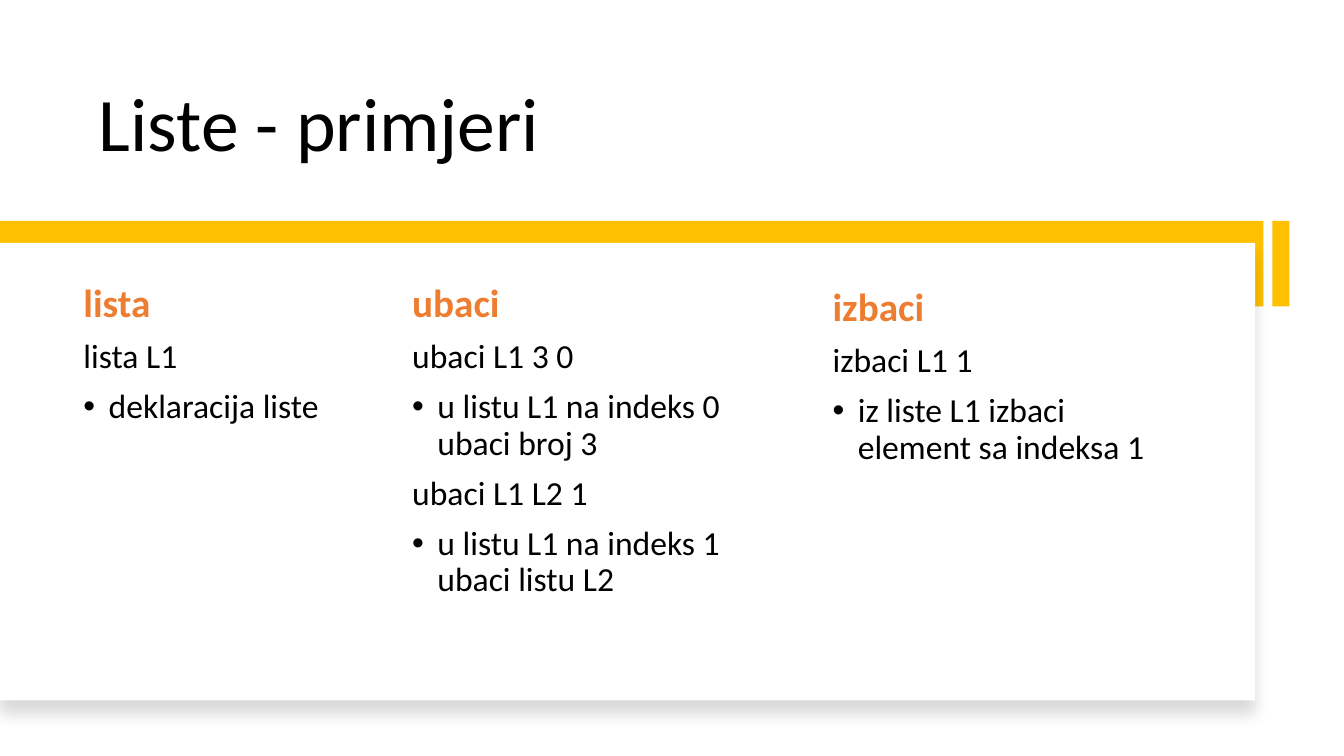
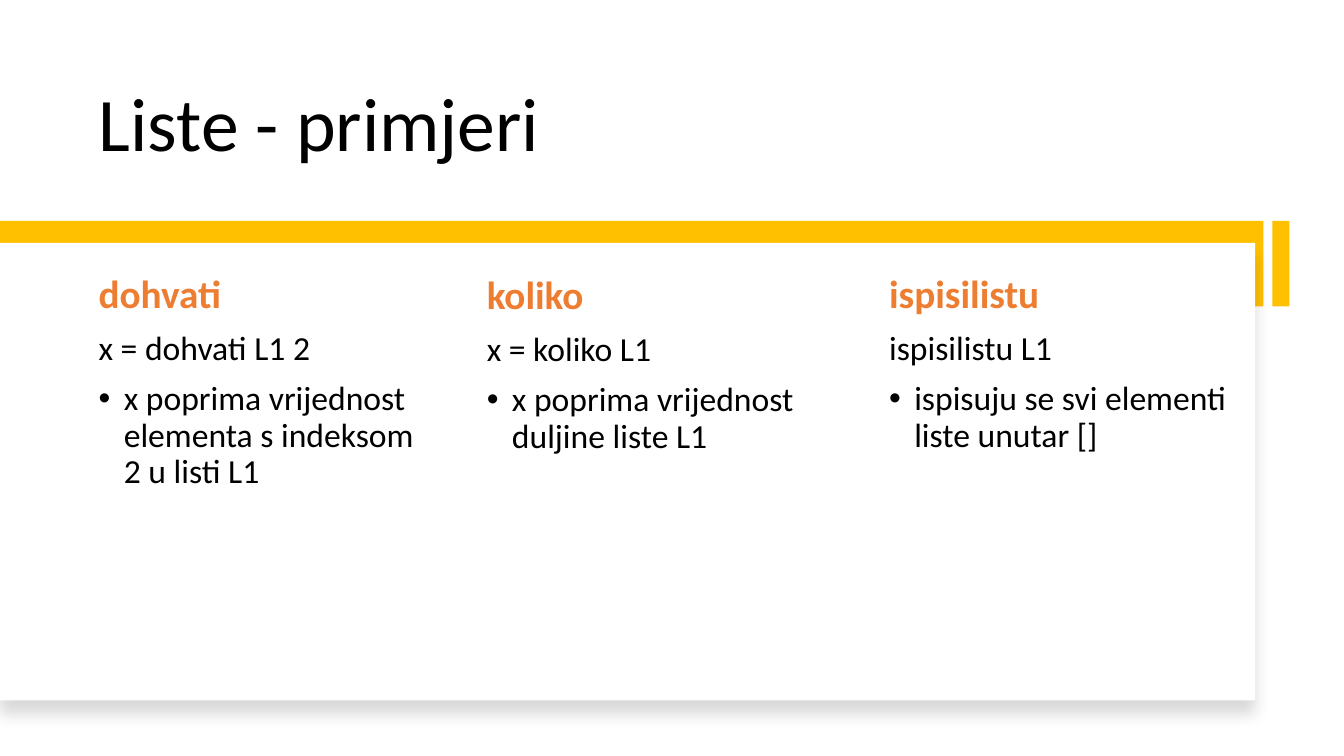
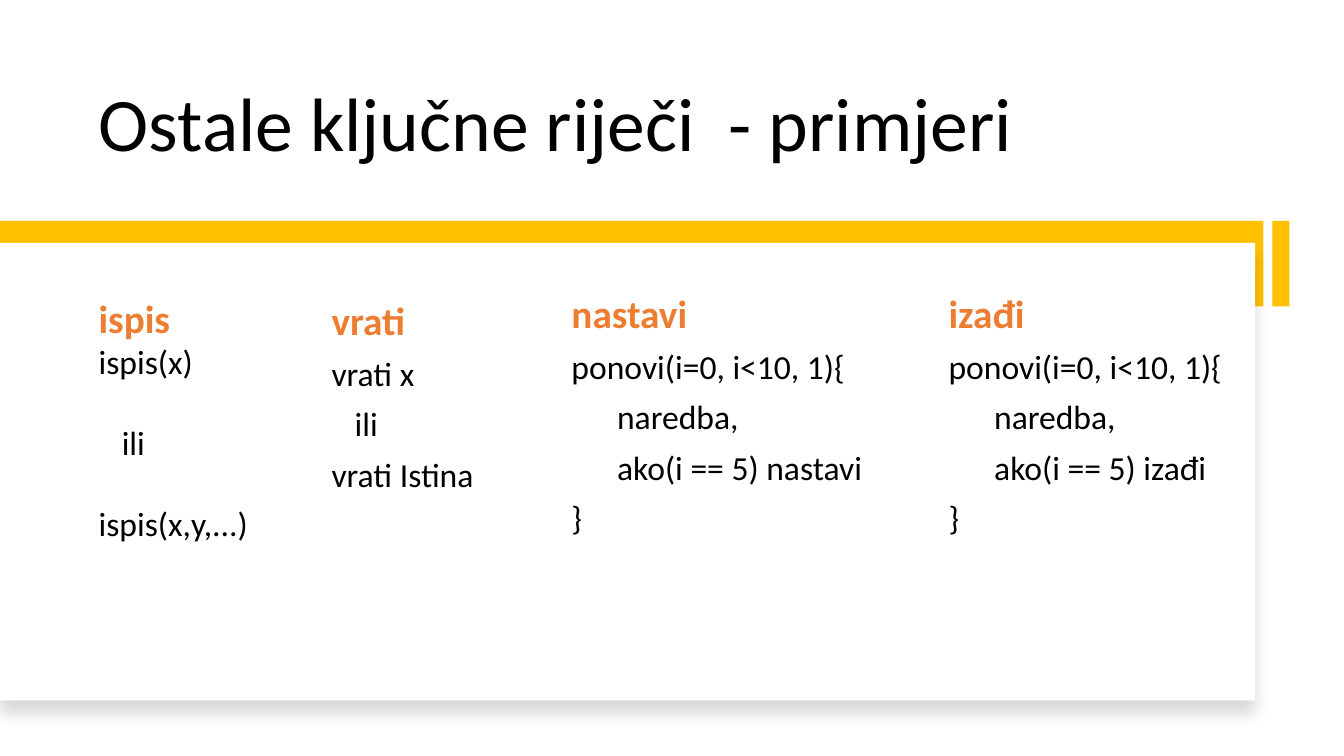
from lxml import etree
from pptx import Presentation
from pptx.dml.color import RGBColor
from pptx.enum import shapes, text
from pptx.oxml import ns
from pptx.util import Inches, Pt

BLACK = RGBColor(0x00, 0x00, 0x00)
WHITE = RGBColor(0xFF, 0xFF, 0xFF)
GOLD = RGBColor(0xFF, 0xC0, 0x00)
ORANGE = RGBColor(0xED, 0x7D, 0x31)

TITLE_FONT = {"name": "Calibri", "size": Pt(54), "bold": False}
HEADING_FONT = {"name": "Calibri", "size": Pt(28), "bold": True}
BODY_FONT = {"name": "Calibri", "size": Pt(24), "bold": False}

SPACED = {"line_spacing": 0.9, "space_before": Pt(10)}
TIGHT = {"line_spacing": 1.0, "space_before": Pt(0)}
PARTED = {"line_spacing": 1.0, "space_before": Pt(29)}

BANDS = [
    (12.62, 2.19, 0.17, 0.85, GOLD),
    (0, 2.19, 12.53, 0.85, GOLD),
    (0, 2.41, 12.45, 4.54, WHITE),
]
COLUMN_HEIGHT = 3.9

SLIDES = [
    ("Liste - primjeri", [
        (0.73, 2.76, 3.2, "lista", [
            ("lista L1", SPACED, "plain"),
            ("deklaracija liste", SPACED, "bullet"),
        ]),
        (3.99, 2.76, 3.56, "ubaci", [
            ("ubaci L1 3 0", SPACED, "plain"),
            ("u listu L1 na indeks 0 ubaci broj 3", SPACED, "bullet"),
            ("ubaci L1 L2 1", SPACED, "plain"),
            ("u listu L1 na indeks 1 ubaci listu L2", SPACED, "bullet"),
        ]),
        (8.16, 2.8, 3.56, "izbaci", [
            ("izbaci L1 1", SPACED, "plain"),
            ("iz liste L1 izbaci element sa indeksa 1", SPACED, "bullet"),
        ]),
    ]),
    ("Liste - primjeri", [
        (0.88, 2.68, 3.56, "dohvati", [
            ("x = dohvati L1 2", SPACED, "plain"),
            ("x poprima vrijednost elementa s indeksom 2 u listi L1", SPACED, "bullet"),
        ]),
        (4.73, 2.69, 3.56, "koliko", [
            ("x = koliko L1", SPACED, "plain"),
            ("x poprima vrijednost duljine liste L1", SPACED, "bullet"),
        ]),
        (8.72, 2.68, 3.56, "ispisilistu", [
            ("ispisilistu L1", SPACED, "plain"),
            ("ispisuju se svi elementi liste unutar []", SPACED, "bullet"),
        ]),
    ]),
    ("Ostale ključne riječi  - primjeri", [
        (0.88, 2.87, 2.2, "ispis", [
            ("ispis(x)", TIGHT, "plain"),
            ("ili", PARTED, "indented"),
            ("ispis(x,y,...)", PARTED, "plain"),
        ]),
        (3.19, 2.94, 2.3, "vrati", [
            ("vrati x", SPACED, "plain"),
            ("ili", SPACED, "indented"),
            ("vrati Istina", SPACED, "plain"),
        ]),
        (5.57, 2.87, 3.56, "nastavi", [
            ("ponovi(i=0, i<10, 1){", SPACED, "plain"),
            ("      naredba,", SPACED, "plain"),
            ("      ako(i == 5) nastavi", SPACED, "plain"),
            ("}", SPACED, "plain"),
        ]),
        (9.31, 2.87, 3.1, "izađi", [
            ("ponovi(i=0, i<10, 1){", SPACED, "plain"),
            ("      naredba,", SPACED, "plain"),
            ("      ako(i == 5) izađi", SPACED, "plain"),
            ("}", SPACED, "plain"),
        ]),
    ]),
]


def format_paragraph(paragraph, spacing, font, color):
    for name, value in spacing.items():
        setattr(paragraph, name, value)
    for name, value in font.items():
        setattr(paragraph.font, name, value)
    paragraph.font.color.rgb = color
    paragraph.alignment = text.PP_ALIGN.LEFT


presentation = Presentation()
presentation.slide_width = Inches(13.33)
presentation.slide_height = Inches(7.5)

for title_text, columns in SLIDES:
    slide = presentation.slides.add_slide(presentation.slide_layouts[5])
    title = slide.shapes.title
    title.left, title.top = Inches(0.88), Inches(0.42)
    title.width, title.height = Inches(10.1), Inches(1.3)
    title.text_frame.text = title_text
    title.text_frame.auto_size = text.MSO_AUTO_SIZE.NONE
    title.text_frame.vertical_anchor = text.MSO_ANCHOR.BOTTOM
    format_paragraph(title.text_frame.paragraphs[0], {"line_spacing": 0.9}, TITLE_FONT, BLACK)

    for left, top, width, height, color in BANDS:
        band = slide.shapes.add_shape(
            shapes.MSO_SHAPE.RECTANGLE, Inches(left), Inches(top), Inches(width), Inches(height))
        band.shadow.inherit = False
        band.fill.solid()
        band.fill.fore_color.rgb = color
        band.line.fill.background()
        if color == WHITE:
            effects = band._element.spPr.find(ns.qn("a:effectLst"))
            shadow = etree.SubElement(
                effects, ns.qn("a:outerShdw"), blurRad=str(Pt(11)), dist=str(Pt(10)),
                dir="5400000", algn="t", rotWithShape="0")
            shade = etree.SubElement(shadow, ns.qn("a:srgbClr"), val=str(BLACK))
            etree.SubElement(shade, ns.qn("a:alpha"), val="15000")

    for left, top, width, heading, lines in columns:
        column = slide.shapes.add_textbox(
            Inches(left), Inches(top), Inches(width), Inches(COLUMN_HEIGHT))
        frame = column.text_frame
        frame.word_wrap = True
        frame.text = heading
        heading_spacing = {"line_spacing": lines[0][1]["line_spacing"]}
        format_paragraph(frame.paragraphs[0], heading_spacing, HEADING_FONT, ORANGE)
        for line, spacing, kind in lines:
            paragraph = frame.add_paragraph()
            paragraph.text = line
            properties = paragraph._p.get_or_add_pPr()
            if kind == "bullet":
                properties.set("marL", str(Inches(0.25)))
                properties.set("indent", str(Inches(-0.25)))
                etree.SubElement(properties, ns.qn("a:buFont"), typeface="Arial")
                etree.SubElement(properties, ns.qn("a:buChar"), char="•")
            elif kind == "indented":
                properties.set("marL", str(Inches(0.23)))
            format_paragraph(paragraph, spacing, BODY_FONT, BLACK)

presentation.save("out.pptx")
